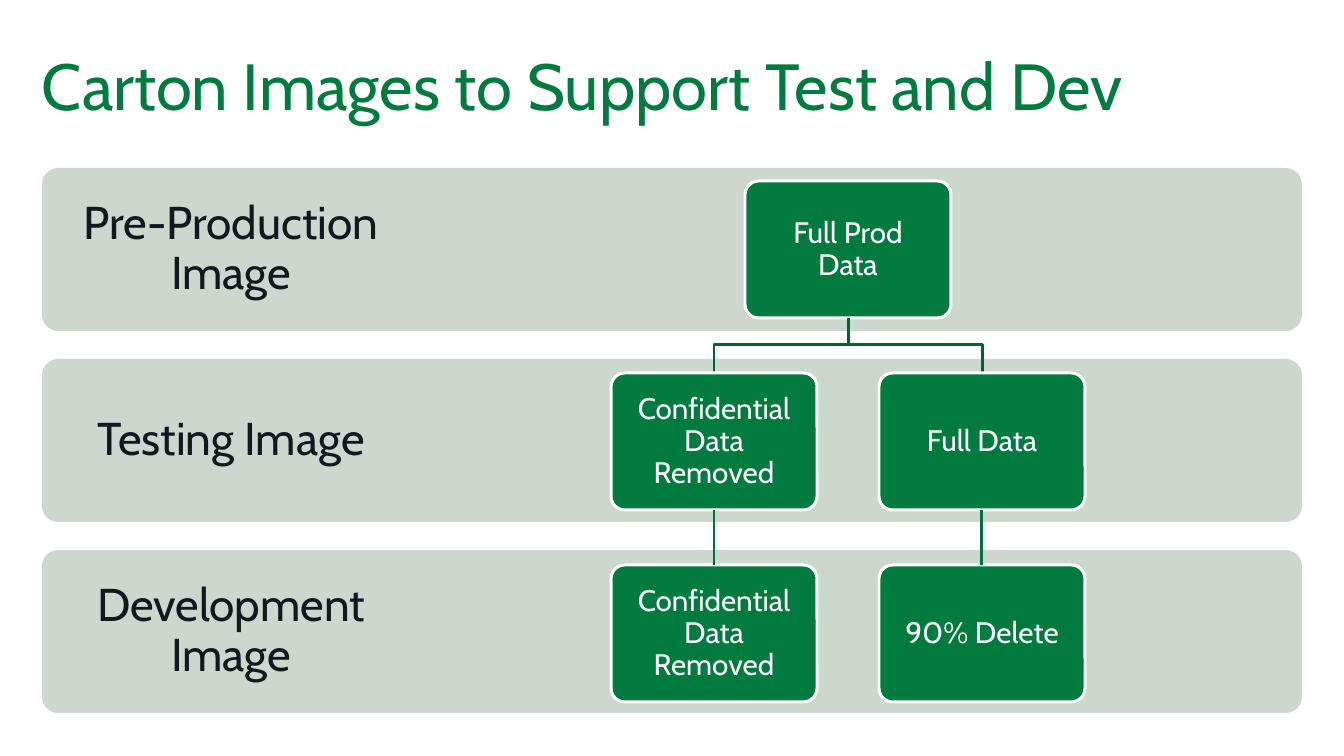
from pptx import Presentation
from pptx.dml.color import RGBColor
from pptx.enum.shapes import MSO_CONNECTOR, MSO_SHAPE
from pptx.enum.text import MSO_ANCHOR as Anchor, PP_ALIGN as Align
from pptx.oxml.ns import qn
from pptx.util import Emu, Pt
from lxml import etree

PX = 8572  # EMU in one px
FONT = "Cabin"
GREEN, SAGE, INK, WHITE = "007A3E", "CCD7CE", "101820", "FFFFFF"
FORK_GREEN, LINK_GREEN = "006232", "006F38"

BAND_LABELS = ["Pre-Production Image", "Testing Image", "Development Image"]
ROOT_LABEL = "Full Prod Data"
BRANCHES = [
    ["Confidential Data Removed", "Confidential Data Removed"],
    ["Full Data", "90% Delete"],
]


def px(length):
    return Emu(length * PX)


def color(hex_string):
    return RGBColor.from_string(hex_string)


def set_text(shape, text, size, ink, align, margin, spacing=1.0):
    frame = shape.text_frame
    frame.text = text
    frame.word_wrap = True
    frame.vertical_anchor = Anchor.MIDDLE
    frame.margin_left = frame.margin_right = px(margin)
    frame.margin_top = frame.margin_bottom = px(margin)
    para = frame.paragraphs[0]
    para.alignment = align
    para.line_spacing = spacing
    font = para.runs[0].font
    font.name, font.size = FONT, Pt(size)
    font.color.rgb = color(ink)


def add_text(page, box, *style):
    set_text(page.shapes.add_textbox(*map(px, box)), *style)


def add_panel(page, box, fill):
    panel = page.shapes.add_shape(MSO_SHAPE.ROUNDED_RECTANGLE, *map(px, box))
    panel.shadow.inherit = False
    panel.adjustments[0] = 0.1
    panel.fill.solid()
    panel.fill.fore_color.rgb = color(fill)
    panel.line.fill.background()
    return panel


def set_line(shape, ink):
    shape.line.color.rgb = color(ink)
    shape.line.width = Pt(2)


def add_node(page, box, label):
    node = add_panel(page, box, GREEN)
    set_line(node, WHITE)
    set_text(node, label, 20, WHITE, Align.CENTER, 13, 0.9)
    return node


def add_fork(page, start, end):
    """Draw a stepped line that turns halfway down."""
    (start_x, start_y), (end_x, end_y) = start, end
    middle = (start_y + end_y) // 2
    builder = page.shapes.build_freeform(start_x, start_y, scale=PX)
    builder.add_line_segments([(start_x, middle), (end_x, middle), end], close=False)
    fork = builder.convert_to_shape()
    fork.shadow.inherit = False
    fork.fill.background()
    set_line(fork, FORK_GREEN)


def add_link(page, upper, lower):
    link = page.shapes.add_connector(MSO_CONNECTOR.STRAIGHT, 0, 0, 0, 0)
    link.begin_connect(upper, 2)
    link.end_connect(lower, 0)
    set_line(link, LINK_GREEN)
    etree.SubElement(link._element.spPr, qn("a:effectLst"))


def add_bands(page, box):
    """Stack one labelled band per image type."""
    left, top, width, height = box
    pitch, band_height = 191, height - 191 * (len(BAND_LABELS) - 1)
    for row, label in enumerate(BAND_LABELS):
        band_top = top + row * pitch
        add_panel(page, (left, band_top, width, band_height), SAGE)
        add_text(page, (left, band_top, width * 3 // 10, band_height),
                 label, 31, INK, Align.CENTER, 26, 0.9)


def add_tree(page, box):
    """Place the root above two branches, one node per band."""
    left, top, width, _ = box
    node_width, node_height, pitch = 206, 137, 192
    center = left + width // 2

    # Root
    add_node(page, (center - node_width // 2, top, node_width, node_height), ROOT_LABEL)

    # Branches
    for column, labels in enumerate(BRANCHES):
        node_left = left + column * (width - node_width)
        add_fork(page, (center, top + node_height),
                 (node_left + node_width // 2, top + pitch))
        upper, lower = [
            add_node(page, (node_left, top + row * pitch, node_width, node_height), label)
            for row, label in enumerate(labels, start=1)
        ]
        add_link(page, upper, lower)


def main():
    deck = Presentation()
    deck.slide_width, deck.slide_height = px(1344), px(756)
    page = deck.slides.add_slide(deck.slide_layouts[6])
    add_text(page, (42, 42, 1260, 84), "Carton Images to Support Test and Dev",
             44, GREEN, Align.LEFT, 0)
    add_bands(page, (42, 168, 1260, 545))
    add_tree(page, (611, 181, 474, 521))
    deck.save("out.pptx")


if __name__ == "__main__":
    main()
